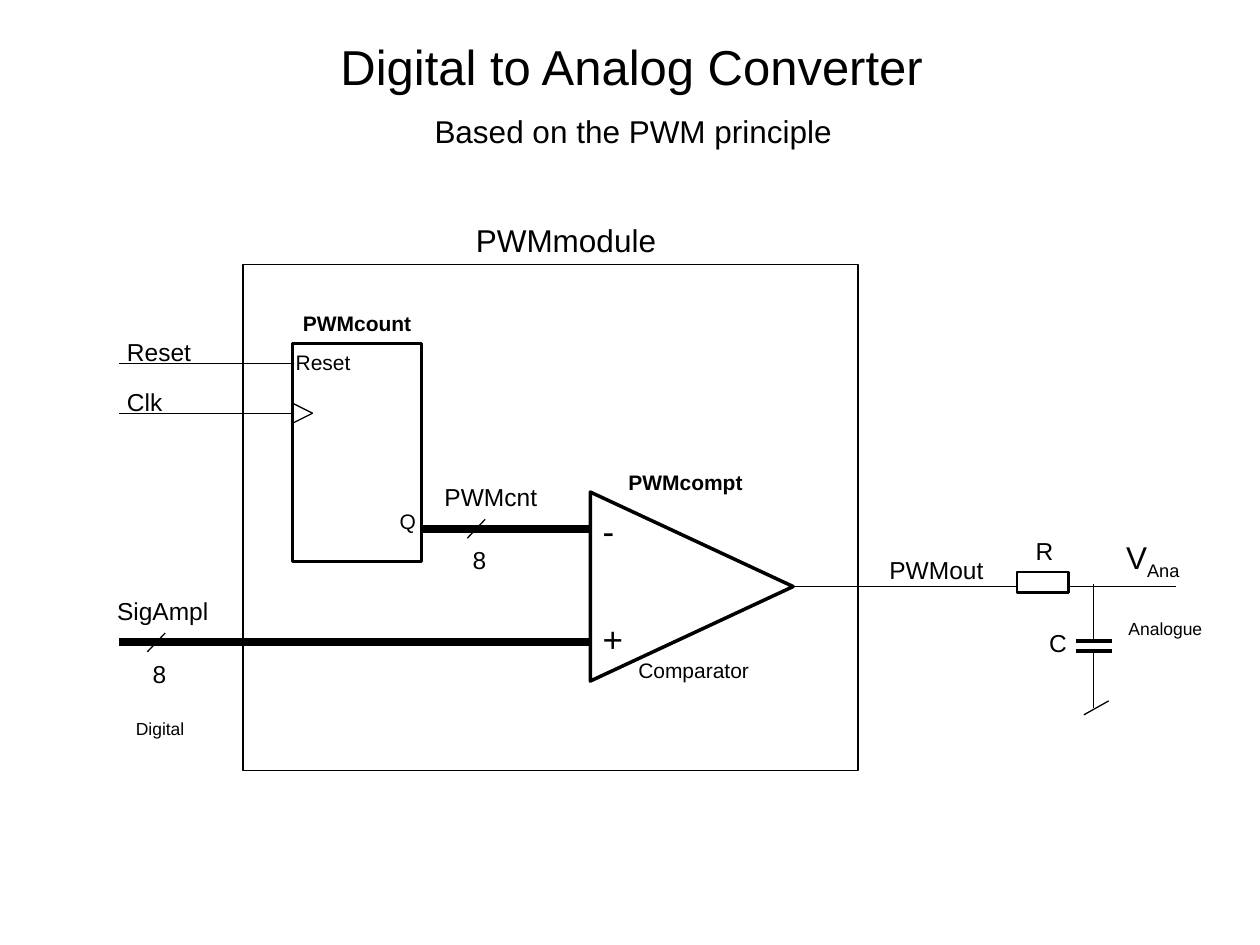
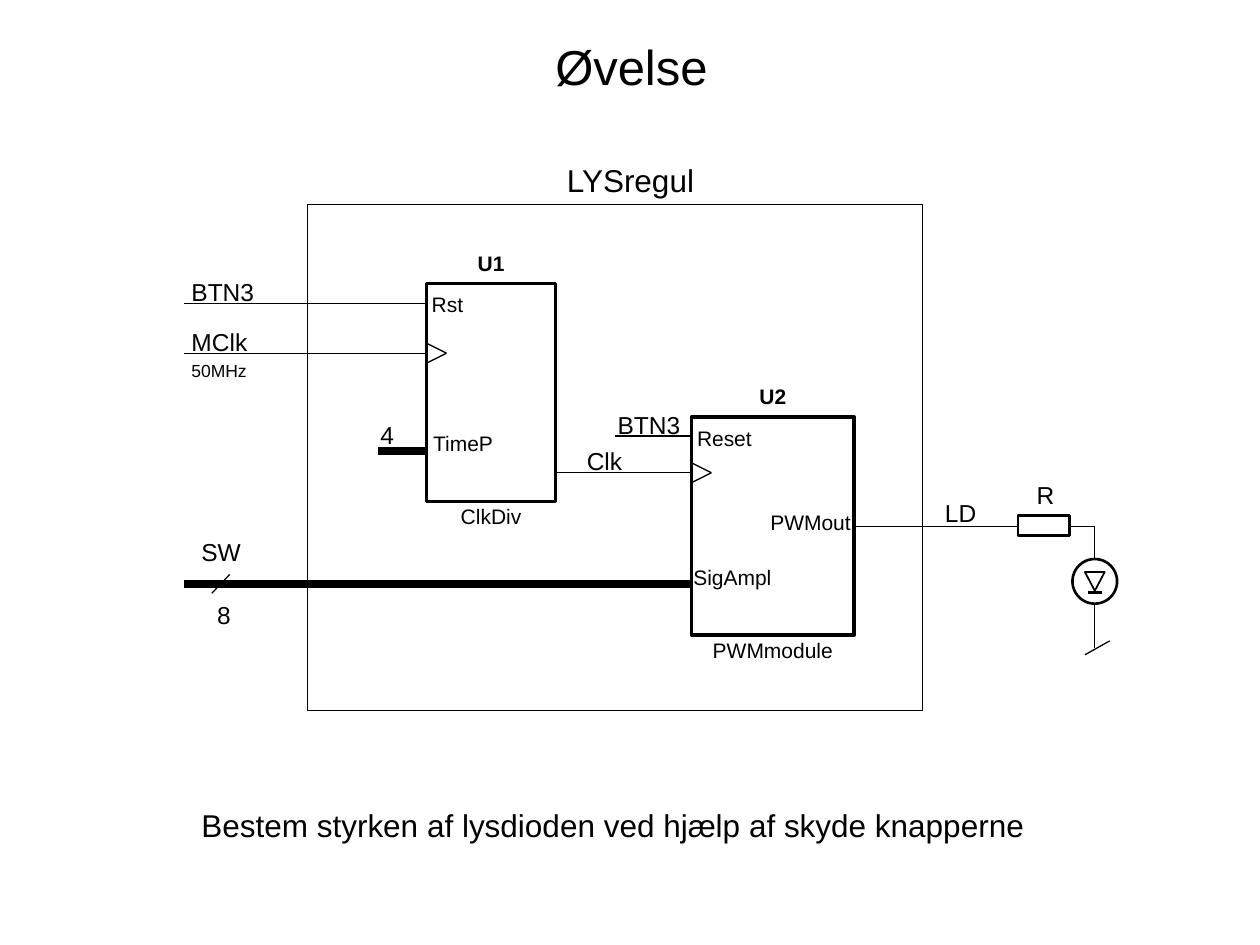
from dataclasses import dataclass
from typing import Any

from pptx import Presentation
from pptx import util as u
from pptx.dml import color
from pptx.enum import shapes, text
from pptx.oxml import xmlchemy

INK, PAPER = "000000", "FFFFFF"
FONT = "Arial"
THIN, PLATE, BUS = 0.75, 2.25, 4.5
FRAME_W, FRAME_H = 12.4, 10.21
BLOCK_H = 4.39
NAME_OVERHANG = 0.3
INPUT_X = -2.5


@dataclass
class Area:
    """A region of a slide whose parts are placed from its top left corner."""
    slide: Any
    left: float = 0
    top: float = 0

    def at(self, x, y):
        """Return slide lengths for a point given in centimetres."""
        return u.Cm(self.left + x), u.Cm(self.top + y)

    def inner(self, x, y):
        """Return an area that starts at a point of this one."""
        return Area(self.slide, self.left + x, self.top + y)


def rgb(code):
    """Turn a hex string into a colour."""
    return color.RGBColor.from_string(code)


def style_run(run, size, bold=False):
    """Give a run the common font."""
    run.font.name = FONT
    run.font.size = u.Pt(size)
    run.font.bold = bold
    run.font.color.rgb = rgb(INK)


def label(area, words, x, y, width, size=14, bold=False, centred=False):
    """Write one unwrapped line of text and return its paragraph."""
    box = area.slide.shapes.add_textbox(
        *area.at(x, y), u.Cm(width), u.Cm(0.25 + 0.0425 * size))
    box.text_frame.word_wrap = False
    box.text_frame.auto_size = text.MSO_AUTO_SIZE.SHAPE_TO_FIT_TEXT
    box.text_frame.text = words
    line = box.text_frame.paragraphs[0]
    line.alignment = text.PP_ALIGN.CENTER if centred else text.PP_ALIGN.LEFT
    style_run(line.runs[0], size, bold)
    return line


def wire(area, x1, y1, x2, y2, weight=THIN):
    """Draw a straight line between two points."""
    line = area.slide.shapes.add_connector(
        shapes.MSO_CONNECTOR.STRAIGHT, *area.at(x1, y1), *area.at(x2, y2))
    line.line.color.rgb = rgb(INK)
    line.line.width = u.Pt(weight)
    line._element.spPr.append(xmlchemy.OxmlElement("a:effectLst"))


def outline(area, kind, x, y, width, height, weight, fill=PAPER, turn=0):
    """Draw a preset shape; no weight means no line, no fill means see-through."""
    part = area.slide.shapes.add_shape(
        kind, *area.at(x, y), u.Cm(width), u.Cm(height))
    part.shadow.inherit = False
    part.rotation = turn
    if fill:
        part.fill.solid()
        part.fill.fore_color.rgb = rgb(fill)
    else:
        part.fill.background()
    if weight:
        part.line.color.rgb = rgb(INK)
        part.line.width = u.Pt(weight)
    else:
        part.line.fill.background()


def heading(slide, words):
    """Write the slide title across the top."""
    title = slide.shapes.add_textbox(
        u.Cm(1.3), u.Cm(0.53), u.Cm(22.86), u.Cm(1.6)).text_frame
    title.word_wrap = True
    title.vertical_anchor = text.MSO_ANCHOR.MIDDLE
    title.text = words
    title.paragraphs[0].alignment = text.PP_ALIGN.CENTER
    style_run(title.paragraphs[0].runs[0], 28)


def module_frame(area, name):
    """Draw the module border with its name above."""
    outline(area, shapes.MSO_SHAPE.RECTANGLE, 0, 0, FRAME_W, FRAME_H, THIN, None)
    label(area, name, 0.31, -1, FRAME_W, 18, centred=True)


def signal(area, x1, x2, y, name, name_x, name_w, rise=0.66, weight=THIN):
    """Draw a horizontal wire with its name on it."""
    wire(area, x1, y, x2, y, weight)
    label(area, name, name_x, y - rise, name_w)


def bus(area, x1, x2, y, name, name_x, name_w, slash_x):
    """Draw a named eight-bit bus with its slash and bit count."""
    signal(area, x1, x2, y, name, name_x, name_w, 1.07, BUS)
    wire(area, slash_x - 0.18, y + 0.19, slash_x + 0.18, y - 0.19)
    label(area, "8", slash_x - 0.33, y + 0.2, 0.79, centred=True)


def clocked_block(area, width, clock_y, name, pins, kind=None):
    """Draw a component with clock notch, name, pins and optional kind."""
    outline(area, shapes.MSO_SHAPE.RECTANGLE, 0, 0, width, BLOCK_H, 2)
    for side in (-0.2, 0.2):
        wire(area, 0, clock_y + side, 0.4, clock_y)
    label(area, name, -NAME_OVERHANG, -0.8, width + 2 * NAME_OVERHANG, 12,
          bold=True, centred=True)
    if kind:
        label(area, kind, 0, BLOCK_H - 0.08, width, 12, centred=True)
    for pin, x, y, pin_w in pins:
        label(area, pin, x, y, pin_w, 12, centred=True)


def comparator(area, width, height):
    """Draw the comparator triangle pointing right, with its labels."""
    outline(area, shapes.MSO_SHAPE.ISOSCELES_TRIANGLE, (width - height) / 2,
            (height - width) / 2, height, width, 2, turn=90)
    label(area, "-", 0, 0.22, 0.74, 20)
    label(area, "+", 0, 2.4, 0.91, 20)
    label(area, "PWMcompt", 0.5, -0.57, 2.84, 12, bold=True, centred=True)
    label(area, "Comparator", 0.7, 3.21, 2.77, 12, centred=True)


def resistor(area):
    """Draw a resistor with its letter above."""
    outline(area, shapes.MSO_SHAPE.RECTANGLE, 0, 0, 1.04, 0.41, 1.5)
    label(area, "R", 0.13, -0.84, 0.86)


def ground_wire(area, length):
    """Draw a wire down to the ground stroke."""
    wire(area, 0, 0, 0, length)
    wire(area, 0.3, length - 0.15, -0.2, length + 0.13)


def capacitor(area):
    """Draw two plates with a gap, centred on the area's left edge."""
    gap = 0.2
    outline(area, shapes.MSO_SHAPE.RECTANGLE, -0.25, 0, 0.5, gap, None)
    for y in (0, gap):
        wire(area, -0.36, y, 0.36, y, PLATE)
    label(area, "C", -1.15, -0.4, 0.86)


def light_diode(area):
    """Draw a diode in a circle, centred on the area's corner."""
    outline(area, shapes.MSO_SHAPE.OVAL, -0.45, -0.45, 0.9, 0.9, 1.5)
    outline(area, shapes.MSO_SHAPE.ISOSCELES_TRIANGLE,
            -0.2, -0.19, 0.4, 0.38, 1, turn=180)
    wire(area, -0.14, 0.22, 0.14, 0.22, 1.5)


def converter_diagram(area):
    """Draw the PWM module with its counter, comparator and filter."""
    signal(area, INPUT_X, 1, 2, "Reset", -2.59, 1.8)
    signal(area, INPUT_X, 1, 3, "Clk", -2.59, 1.24)
    clocked_block(area.inner(1, 1.6), 2.6, 1.4, "PWMcount",
                  [("Reset", -0.2, 0, 1.63), ("Q", 1.9, 3.2, 0.84)])
    bus(area, 3.6, 7, 5.33, "PWMcnt", 3.81, 2.39, 4.7)
    bus(area, INPUT_X, 7, 7.62, "SigAmpl", -2.79, 2.36, -1.75)
    comparator(area.inner(7, 4.59), 4.09, 3.81)
    signal(area, 11.1, 18.8, 6.5, "PWMout", 12.78, 2.41, 0.76)
    module_frame(area, "PWMmodule")
    label(area, "Digital", -2.41, 9.02, 1.5, 10)
    label(area, "Analogue", 17.6, 7, 2, 10)
    ground_wire(area.inner(17.15, 6.45), 2.5)
    capacitor(area.inner(17.15, 7.6))
    resistor(area.inner(15.6, 6.2))
    voltage = label(area, "V", 17.55, 5.39, 1.65, 18)
    index = voltage.add_run()
    index.text = "Ana"
    style_run(index, 18)
    index._r.get_or_add_rPr().set("baseline", "-25000")


def dimmer_diagram(area):
    """Draw the light regulator with its divider, PWM module and diode."""
    signal(area, INPUT_X, 2.4, 2, "BTN3", -2.59, 1.78)
    signal(area, INPUT_X, 2.4, 3, "MClk", -2.59, 1.65)
    label(area, "50MHz", -2.59, 3.02, 1.65, 10)
    signal(area, 1.42, 2.4, 4.98, "4", 1.22, 0.79, 0.76, BUS)
    clocked_block(area.inner(2.4, 1.6), 2.6, 1.4, "U1",
                  [("Rst", -0.15, 0.03, 1.14), ("TimeP", -0.13, 2.84, 1.73)],
                  "ClkDiv")
    signal(area, 6.2, 7.75, 4.67, "BTN3", 6, 1.78)
    signal(area, 5, 7.75, 5.41, "Clk", 5.38, 1.24)
    bus(area, INPUT_X, 7.75, 7.65, "SW", -2.39, 1.32, -1.75)
    clocked_block(area.inner(7.74, 4.29), 3.28, 1.12, "U2",
                  [("Reset", -0.15, 0.05, 1.63), ("PWMout", 1.32, 1.73, 2.16),
                   ("SigAmpl", -0.23, 2.84, 2.11)], "PWMmodule")
    signal(area, 11.03, 15.87, 6.5, "LD", 12.6, 1.14, 0.71)
    module_frame(area, "LYSregul")
    ground_wire(area.inner(15.87, 6.5), 2.45)
    resistor(area.inner(14.32, 6.27))
    light_diode(area.inner(15.87, 7.6))


def converter_slide(slide):
    """Build the slide on the converter."""
    heading(slide, "Digital to Analog Converter")
    label(Area(slide), "Based on the PWM principle", 8.51, 2.13, 8.61, 18)
    converter_diagram(Area(slide, 4.9, 5.33))


def exercise_slide(slide):
    """Build the slide with the exercise."""
    heading(slide, "Øvelse")
    dimmer_diagram(Area(slide, 6.2, 4.12))
    label(Area(slide), "Bestem styrken af lysdioden ved hjælp af skyde knapperne",
          3.81, 16.13, 17.25, 18)


def main():
    """Build and save the presentation."""
    deck = Presentation()
    deck.slide_width, deck.slide_height = u.Cm(25.4), u.Cm(19.05)
    for build in (converter_slide, exercise_slide):
        build(deck.slides.add_slide(deck.slide_layouts[6]))
    deck.save("out.pptx")


main()
